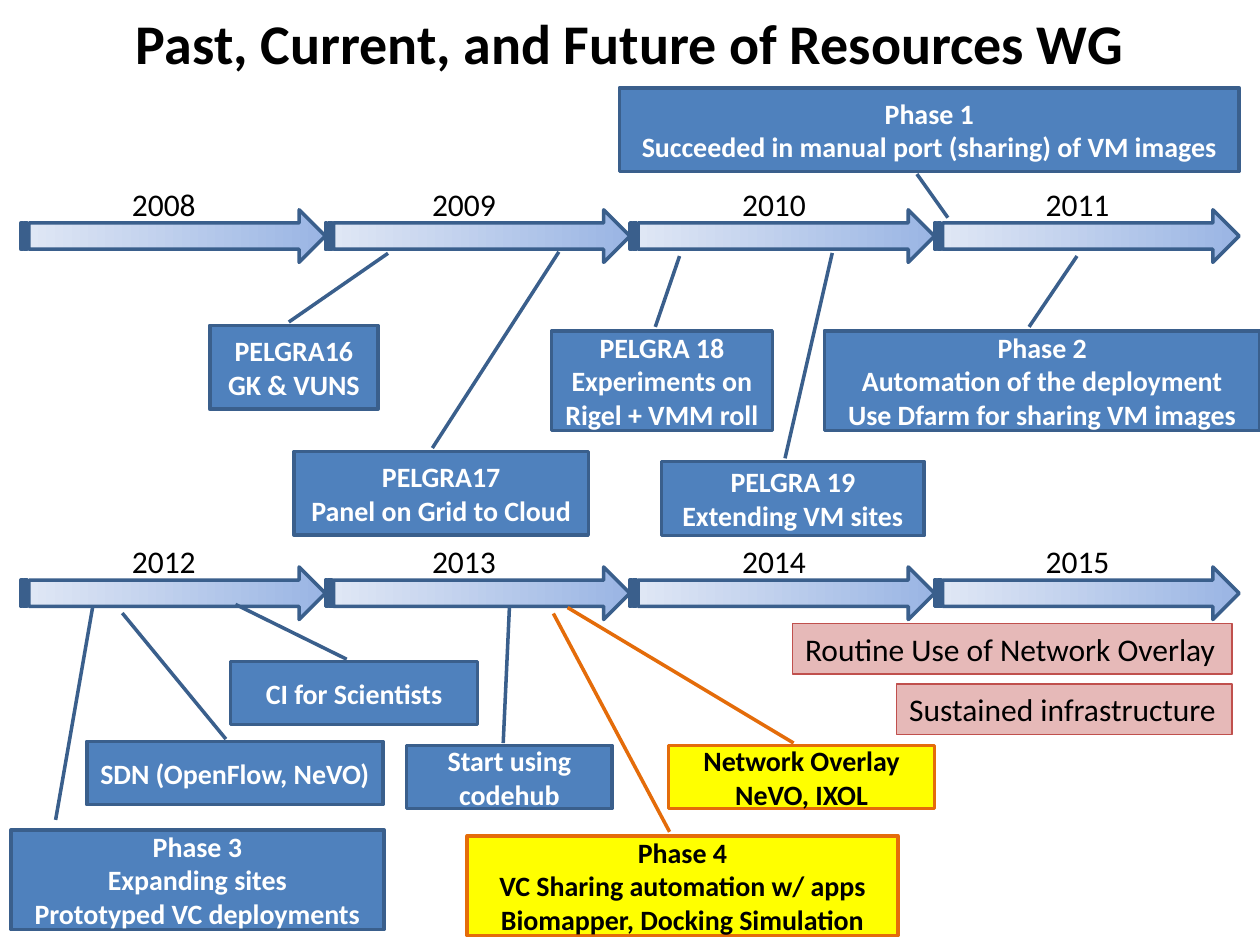
from dataclasses import dataclass

from pptx import Presentation
from pptx.dml.color import RGBColor
from pptx.enum.shapes import MSO_SHAPE as Shape
from pptx.enum.text import MSO_ANCHOR as Anchor, MSO_AUTO_SIZE as AutoSize, PP_ALIGN as Align
from pptx.util import Cm, Pt

COLORS = {
    "black": "000000",
    "white": "FFFFFF",
    "blue": "4F81BD",
    "navy": "3A5F8C",
    "yellow": "FFFF00",
    "orange": "E46C0A",
    "pink": "E6B9B8",
    "red": "C0504D",
    "arrow_dark": "9AB5E4",
    "arrow_light": "E1E8F5",
}
FONT = "Calibri"
ARROW_LEFT, ARROW_WIDTH, ARROW_HEIGHT = 0.42, 6.14, 1.06
YEAR_LEFTS = (2.41, 8.46, 14.71, 20.83)
YEAR_RISE = 0.63
LABEL_HEIGHT = 1.02
LEADER_START = (-0.04, 0.47)


@dataclass
class Style:
    fill: str
    line: str
    text: str


@dataclass
class Timeline:
    first_year: int
    top: float


@dataclass
class Callout:
    text: str
    left: float
    top: float
    width: float
    height: float
    leader_end: tuple[float, float]
    leader_start: tuple[float, float] = LEADER_START
    style: str = "event"


@dataclass
class Tag:
    text: str
    left: float
    top: float
    width: float


STYLES = {
    "event": Style("blue", "navy", "white"),
    "highlight": Style("yellow", "orange", "black"),
}
TIMELINES = [Timeline(2008, 4.23), Timeline(2012, 11.43)]
CALLOUTS = [
    Callout("PELGRA16\nGK & VUNS", 4.23, 6.56, 3.39, 1.69, (-0.86, 1.06)),
    Callout("PELGRA17\nPanel on Grid to Cloud", 5.93, 9.1, 5.93, 1.69, (-2.38, 0.9)),
    Callout("Phase 1\nSucceeded in manual port (sharing) of VM images",
            12.49, 1.77, 12.49, 1.69, (1.55, 0.53), (1.03, 0.48)),
    Callout("PELGRA 18\nExperiments on Rigel + VMM roll", 11.12, 6.67, 4.45, 2.01, (-0.75, 0.58)),
    Callout("PELGRA 19\nExtending VM sites", 13.34, 9.3, 5.29, 1.5, (-2.8, 0.65)),
    Callout("Phase 2\nAutomation of the deployment\nUse Dfarm for sharing VM images",
            16.62, 6.67, 8.78, 2.01, (-0.75, 0.58)),
    Callout("Phase 3\nExpanding sites\nPrototyped VC deployments",
            0.22, 16.73, 7.52, 2.01, (-2.25, 0.22), (-0.1, 0.12)),
    Callout("Phase 4\nVC Sharing automation w/ apps\nBiomapper, Docking Simulation",
            9.42, 16.85, 8.68, 2.01, (-2.23, 0.2), style="highlight"),
    Callout("SDN (OpenFlow, NeVO)", 1.75, 14.95, 5.97, 1.27, (-2.04, 0.12)),
    Callout("CI for Scientists", 4.65, 13.34, 4.98, 1.27, (-0.91, 0.02)),
    Callout("Start using codehub", 8.2, 15.03, 4.14, 1.27, (-2.19, 0.5)),
    Callout("Network Overlay\nNeVO, IXOL", 13.48, 15.03, 5.36, 1.27, (-2.19, -0.38),
            style="highlight"),
]
TAGS = [
    Tag("Routine Use of Network Overlay", 15.98, 12.57, 8.86),
    Tag("Sustained infrastructure", 18.08, 13.79, 6.76),
]


def color(name: str) -> RGBColor:
    return RGBColor.from_string(COLORS[name])


def write(shape, text: str, size: float, text_color: str, align: Align, bold: bool = False) -> None:
    shape.text_frame.text = text
    for paragraph in shape.text_frame.paragraphs:
        paragraph.alignment = align
        paragraph.font.name = FONT
        paragraph.font.size = Pt(size)
        paragraph.font.bold = bold
        paragraph.font.color.rgb = color(text_color)


def add_outlined(slide, kind: Shape, left: float, top: float, width: float, height: float,
                 line: str, weight: float):
    shape = slide.shapes.add_shape(kind, Cm(left), Cm(top), Cm(width), Cm(height))
    shape.shadow.inherit = False
    shape.line.color.rgb = color(line)
    shape.line.width = Pt(weight)
    return shape


def write_label(shape, text: str) -> None:
    write(shape, text, 18, "black", Align.LEFT)
    shape.text_frame.word_wrap = False
    shape.text_frame.auto_size = AutoSize.SHAPE_TO_FIT_TEXT
    shape.text_frame.vertical_anchor = Anchor.TOP


def add_timeline(slide, timeline: Timeline) -> None:
    for index in range(len(YEAR_LEFTS)):
        arrow = add_outlined(slide, Shape.STRIPED_RIGHT_ARROW, ARROW_LEFT + index * ARROW_WIDTH,
                             timeline.top, ARROW_WIDTH, ARROW_HEIGHT, "navy", 2)
        arrow.fill.gradient()
        arrow.fill.gradient_angle = 180
        for stop, name in zip(arrow.fill.gradient_stops, ("arrow_dark", "arrow_light")):
            stop.color.rgb = color(name)
    for index, left in enumerate(YEAR_LEFTS):
        year = slide.shapes.add_textbox(Cm(left), Cm(timeline.top - YEAR_RISE),
                                        Cm(1.8), Cm(LABEL_HEIGHT))
        write_label(year, str(timeline.first_year + index))


def add_callout(slide, callout: Callout) -> None:
    style = STYLES[callout.style]
    shape = add_outlined(slide, Shape.LINE_CALLOUT_1, callout.left, callout.top,
                         callout.width, callout.height, style.line, 2)
    shape.fill.solid()
    shape.fill.fore_color.rgb = color(style.fill)
    for index, value in enumerate(callout.leader_start + callout.leader_end):
        shape.adjustments[index] = value
    write(shape, callout.text, 16, style.text, Align.CENTER, bold=True)
    shape.text_frame.word_wrap = True
    shape.text_frame.vertical_anchor = Anchor.MIDDLE


def add_tag(slide, tag: Tag) -> None:
    shape = add_outlined(slide, Shape.RECTANGLE, tag.left, tag.top, tag.width, LABEL_HEIGHT,
                         "red", 0.75)
    shape.fill.solid()
    shape.fill.fore_color.rgb = color("pink")
    write_label(shape, tag.text)


def main() -> None:
    presentation = Presentation()
    presentation.slide_width, presentation.slide_height = Cm(25.4), Cm(19.05)
    slide = presentation.slides.add_slide(presentation.slide_layouts.get_by_name("Title Only"))
    title = slide.shapes.title
    title.left, title.top, title.width, title.height = Cm(0), Cm(-0.43), Cm(25.4), Cm(2.54)
    write(title, "Past, Current, and Future of Resources WG", 32, "black", Align.CENTER, bold=True)
    title.text_frame.vertical_anchor = Anchor.MIDDLE
    for timeline in TIMELINES:
        add_timeline(slide, timeline)
    for callout in CALLOUTS:
        add_callout(slide, callout)
    for tag in TAGS:
        add_tag(slide, tag)
    presentation.save("out.pptx")


if __name__ == "__main__":
    main()
